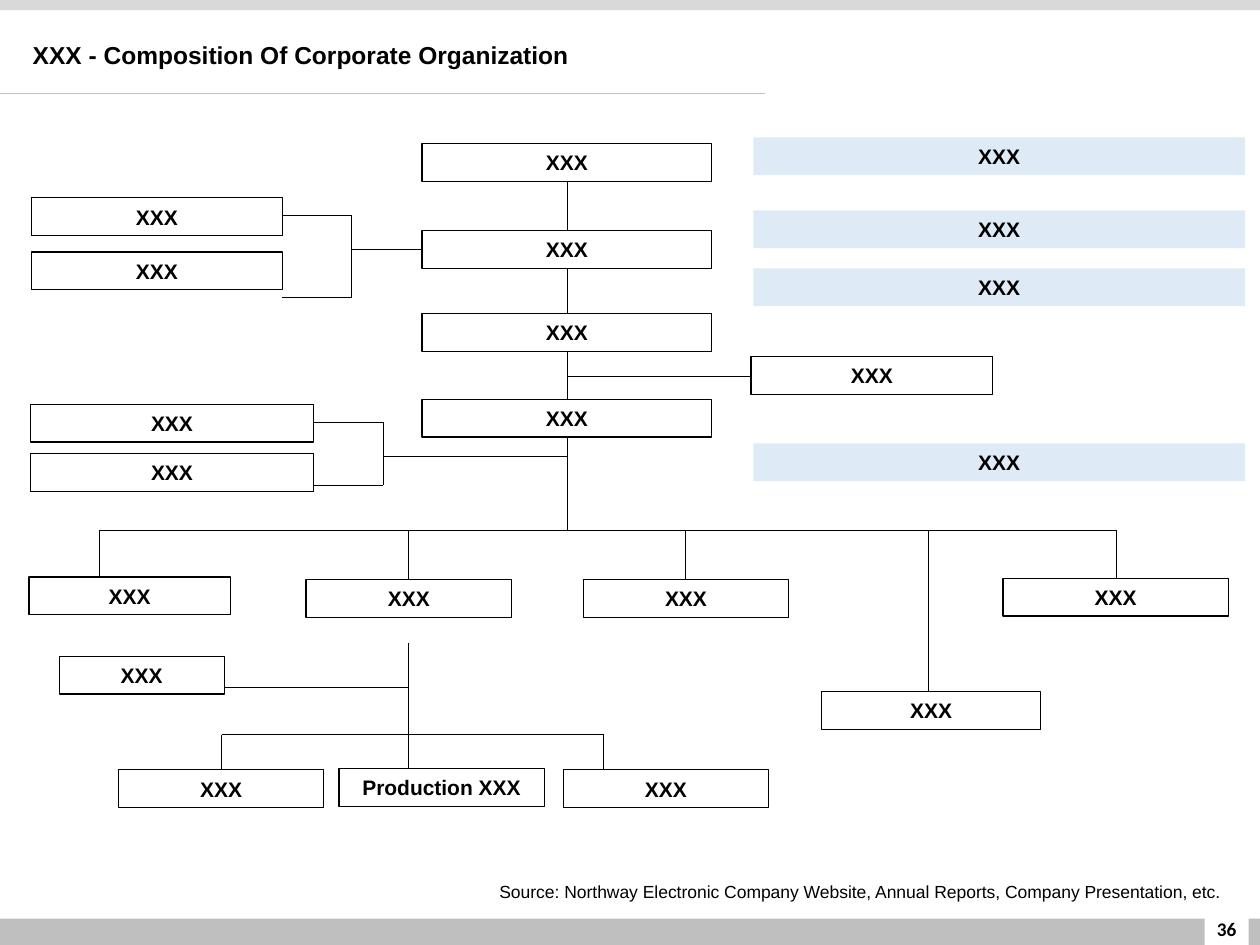
from dataclasses import dataclass

from lxml.etree import SubElement
from pptx import Presentation
from pptx.dml.color import RGBColor
from pptx.enum.shapes import MSO_CONNECTOR as Link, MSO_SHAPE as Kind
from pptx.enum.text import MSO_ANCHOR as Anchor, MSO_AUTO_SIZE as Fit, PP_ALIGN as Align
from pptx.oxml.ns import qn
from pptx.util import Inches, Pt


@dataclass(frozen=True)
class Theme:
    font: str = "Arial"
    page_font: str = "Calibri"
    ink: str = "000000"
    paper: str = "FFFFFF"
    tint: str = "DEEBF7"
    top: str = "D9D9D9"
    foot: str = "BFBFBF"
    title: float = 14
    label: float = 12
    page: float = 11
    source: float = 10
    edge: float = 0.75
    wire: float = 0.5


THEME = Theme()
HIGH = 0.3  # height of every box in the chart


def color(code):
    return RGBColor.from_string(code)


def write(shape, text, size, align=Align.CENTER, bold=True, font=THEME.font,
          anchor=Anchor.MIDDLE):
    frame = shape.text_frame
    frame.text = text
    frame.word_wrap = True
    frame.auto_size = Fit.NONE
    frame.vertical_anchor = anchor
    line = frame.paragraphs[0]
    line.alignment = align
    look = line.runs[0].font
    look.name, look.size, look.bold = font, Pt(size), bold
    look.color.rgb = color(THEME.ink)


def block(slide, x, y, w, h, fill):
    """Add a plain filled rectangle without outline."""
    shape = slide.shapes.add_shape(Kind.RECTANGLE, Inches(x), Inches(y), Inches(w), Inches(h))
    shape.shadow.inherit = False
    shape.fill.solid()
    shape.fill.fore_color.rgb = color(fill)
    shape.line.fill.background()
    return shape


def note(slide, x, y, w, h, text, size, **style):
    box = slide.shapes.add_textbox(Inches(x), Inches(y), Inches(w), Inches(h))
    write(box, text, size, **style)


def node(slide, x, y, w, text="XXX"):
    """Add an outlined, labelled box of the chart."""
    shape = block(slide, x, y, w, HIGH, THEME.paper)
    shape.line.color.rgb = color(THEME.ink)
    shape.line.width = Pt(THEME.edge)
    write(shape, text, THEME.label)


def wire(slide, x1, y1, x2, y2, tone=THEME.ink):
    line = slide.shapes.add_connector(Link.STRAIGHT, Inches(x1), Inches(y1),
                                      Inches(x2), Inches(y2))
    line.line.color.rgb = color(tone)
    line.line.width = Pt(THEME.wire)
    SubElement(line._element.spPr, qn("a:effectLst"))


def header(slide, x, y, w):
    block(slide, x, y, w, 0.08, THEME.top)
    wire(slide, x, y + 0.74, x + 6.07, y + 0.74, THEME.foot)
    title = slide.shapes.title
    title.left, title.top = Inches(x + 0.16), Inches(y + 0.27)
    title.width, title.height = Inches(7.22), Inches(0.34)
    write(title, "XXX - Composition Of Corporate Organization", THEME.title,
          align=Align.LEFT, anchor=Anchor.TOP)


def footer(slide, x, y, w):
    note(slide, x + 3.06, y - 0.35, 6.72, 0.27,
         "Source: Northway Electronic Company Website, Annual Reports, "
         "Company Presentation, etc.",
         THEME.source, align=Align.RIGHT, bold=False, anchor=Anchor.TOP)
    block(slide, x, y, w, 0.23, THEME.foot)
    block(slide, x + 9.56, y - 0.16, 0.35, 0.38, THEME.paper)
    note(slide, x + 9.49, y - 0.12, 0.49, 0.4, "36", THEME.page, font=THEME.page_font)


def chain(slide, x, y, w, steps, end):
    """Stack boxes down one trunk that runs on to the given end."""
    mid = x + w / 2
    tops = [y + step for step in steps]
    for top, below in zip(tops, tops[1:] + [end]):
        wire(slide, mid, top + HIGH, mid, below)
        node(slide, x, top, w)


def pair(slide, x, y, w, gap, drop, reach):
    """Add two stacked boxes, bracketed and led right to the trunk."""
    side, bus, top = x + w, x + w + 0.55, y + 0.14
    for level in (top, top + drop):
        wire(slide, side, level, bus, level)
    wire(slide, bus, top, bus, top + drop)
    wire(slide, bus, top + 0.27, bus + reach, top + 0.27)
    for row in (0, gap):
        node(slide, x, y + row, w)


def branch(slide, y, units):
    """Hang units (left, drop, width, stem, text) from a bar at y."""
    stems = [unit[3] for unit in units]
    wire(slide, min(stems), y, max(stems), y)
    for left, drop, wide, stem, text in units:
        wire(slide, stem, y, stem, y + drop)
        node(slide, left, y + drop, wide, text)


def plant(slide, x, y):
    """Add the production group under its trunk, which starts at x, y."""
    bar = y + 0.73
    wire(slide, x, y, x, bar)
    wire(slide, x - 1.46, y + 0.36, x, y + 0.36)
    node(slide, x - 2.77, y + 0.11, 1.31)
    branch(slide, bar, [
        (x - 2.3, 0.28, 1.63, x - 1.48, "XXX"),
        (x - 0.55, 0.27, 1.63, x, "Production XXX"),
        (x + 1.23, 0.28, 1.63, x + 1.55, "XXX"),
    ])


def bands(slide, x, y, w, steps):
    for step in steps:
        write(block(slide, x, y + step, w, HIGH, THEME.tint), "XXX", THEME.label)


def main():
    deck = Presentation()
    deck.slide_width, deck.slide_height = Inches(10), Inches(7.5)
    slide = deck.slides.add_slide(deck.slide_layouts[5])
    header(slide, 0, 0, 10)
    footer(slide, 0, 7.29, 10)
    chain(slide, 3.35, 1.14, 2.3, (0, 0.69, 1.35, 2.03), 4.21)
    pair(slide, 0.25, 1.57, 1.99, gap=0.43, drop=0.65, reach=0.56)
    pair(slide, 0.24, 3.21, 2.25, gap=0.39, drop=0.5, reach=1.46)
    wire(slide, 4.5, 2.99, 5.96, 2.99)
    node(slide, 5.96, 2.83, 1.92)
    branch(slide, 4.21, [
        (0.23, 0.37, 1.6, 0.79, "XXX"),
        (2.43, 0.39, 1.63, 3.24, "XXX"),
        (4.63, 0.39, 1.63, 5.44, "XXX"),
        (6.52, 1.28, 1.74, 7.37, "XXX"),
        (7.96, 0.38, 1.79, 8.86, "XXX"),
    ])
    plant(slide, 3.24, 5.1)
    bands(slide, 5.98, 1.09, 3.9, (0, 0.58, 1.04, 2.43))
    deck.save("out.pptx")


if __name__ == "__main__":
    main()
